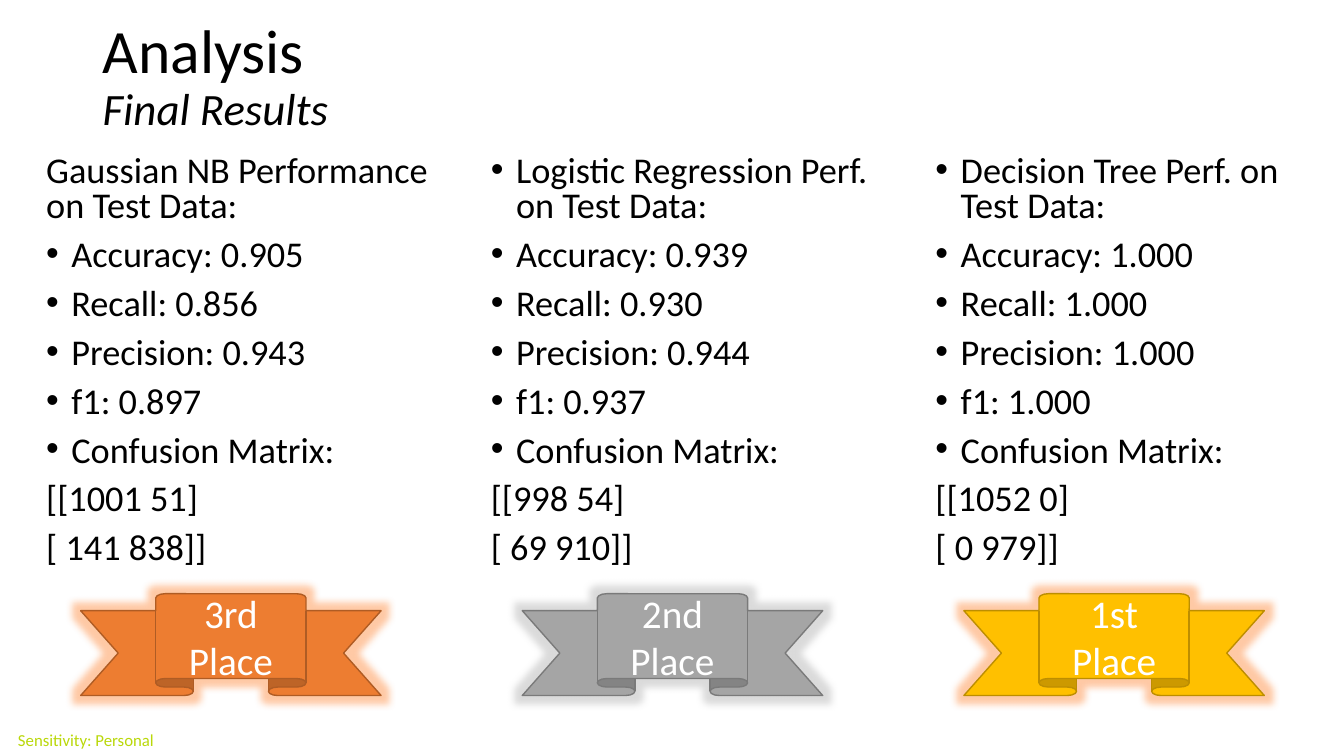
"""Build the Analysis slide comparing three classifiers on test data."""
from dataclasses import dataclass

from lxml.etree import SubElement
from pptx import Presentation
from pptx.dml.color import RGBColor
from pptx.enum.shapes import MSO_SHAPE
from pptx.enum.text import MSO_ANCHOR, PP_ALIGN
from pptx.oxml.ns import qn
from pptx.slide import Slide
from pptx.text.text import TextFrame, _Paragraph
from pptx.util import Inches, Length, Pt

FONT = "Calibri"
BLACK = RGBColor(0x00, 0x00, 0x00)
WHITE = RGBColor(0xFF, 0xFF, 0xFF)
LIME = RGBColor(0xBA, 0xD8, 0x0A)
ORANGE = RGBColor(0xED, 0x7D, 0x31)
ORANGE_EDGE = RGBColor(0xAF, 0x5C, 0x24)
ORANGE_GLOW = RGBColor(0xFF, 0x78, 0x1E)
GRAY = RGBColor(0xA5, 0xA5, 0xA5)
GRAY_EDGE = RGBColor(0x7A, 0x7A, 0x7A)
GOLD = RGBColor(0xFF, 0xC0, 0x00)
GOLD_EDGE = RGBColor(0xBD, 0x8E, 0x00)

METRICS = ("Accuracy", "Recall", "Precision", "f1")
RESULT_LEFT, RESULT_PITCH = Inches(0.36), Inches(4.41)
RIBBON_LEFT, RIBBON_PITCH = Inches(0.8), Inches(4.38)
BULLET_INDENT = Inches(0.25)
GLOW_RADIUS = Inches(0.15)


@dataclass(frozen=True)
class Model:
    """A classifier's scores, confusion matrix and ribbon."""
    heading: str
    heading_bulleted: bool
    scores: tuple[str, ...]
    matrix: tuple[str, str]
    place: str
    fill: RGBColor
    edge: RGBColor
    glow: RGBColor


MODELS = (
    Model("Gaussian NB Performance on Test Data:", False,
          ("0.905", "0.856", "0.943", "0.897"), ("[[1001 51]", "[ 141 838]]"),
          "3rd Place", ORANGE, ORANGE_EDGE, ORANGE_GLOW),
    Model("Logistic Regression Perf. on Test Data:", True,
          ("0.939", "0.930", "0.944", "0.937"), ("[[998 54]", "[ 69 910]]"),
          "2nd Place", GRAY, GRAY_EDGE, GRAY),
    Model("Decision Tree Perf. on Test Data:", True,
          ("1.000", "1.000", "1.000", "1.000"), ("[[1052 0]", "[ 0 979]]"),
          "1st Place", GOLD, GOLD_EDGE, ORANGE_GLOW),
)


def add_text(paragraph: _Paragraph, text: str, size: float,
             color: RGBColor = BLACK, italic: bool = False) -> None:
    """Append one styled run."""
    run = paragraph.add_run()
    run.text = text
    run.font.name = FONT
    run.font.size = Pt(size)
    run.font.italic = italic
    run.font.color.rgb = color


def add_frame(slide: Slide, left: Length, top: Length, width: Length,
              height: Length, anchor: MSO_ANCHOR = MSO_ANCHOR.MIDDLE) -> TextFrame:
    """Add a wrapping text box and return its frame."""
    frame = slide.shapes.add_textbox(left, top, width, height).text_frame
    frame.word_wrap = True
    frame.vertical_anchor = anchor
    return frame


def add_bullet(paragraph: _Paragraph) -> None:
    """Give the paragraph a hanging round bullet."""
    properties = paragraph._p.get_or_add_pPr()
    properties.set("marL", str(BULLET_INDENT))
    properties.set("indent", str(-BULLET_INDENT))
    SubElement(properties, qn("a:buFont")).set("typeface", "Arial")
    SubElement(properties, qn("a:buChar")).set("char", "•")


def add_results(slide: Slide, model: Model, column: int) -> None:
    """List the model's results in its column."""
    frame = add_frame(slide, RESULT_LEFT + column * RESULT_PITCH, Inches(1.5),
                      Inches(4.22), Inches(4.3), MSO_ANCHOR.TOP)
    lines = [(model.heading, model.heading_bulleted)]
    lines += [(f"{metric}: {score}", True)
              for metric, score in zip(METRICS, model.scores)]
    lines += [("Confusion Matrix:", True)]
    lines += [(row, False) for row in model.matrix]
    for number, (text, bulleted) in enumerate(lines):
        paragraph = frame.add_paragraph() if number else frame.paragraphs[0]
        paragraph.line_spacing = 0.8
        paragraph.space_before = Pt(10)
        if bulleted:
            add_bullet(paragraph)
        add_text(paragraph, text, 25.9)


def add_ribbon(slide: Slide, model: Model, column: int) -> None:
    """Draw the glowing ribbon with the model's place."""
    ribbon = slide.shapes.add_shape(
        MSO_SHAPE.UP_RIBBON, RIBBON_LEFT + column * RIBBON_PITCH, Inches(5.89),
        Inches(2.98), Inches(1.01))
    ribbon.fill.solid()
    ribbon.fill.fore_color.rgb = model.fill
    ribbon.line.color.rgb = model.edge
    ribbon.line.width = Pt(1)
    ribbon.shadow.inherit = False
    effects = ribbon._element.spPr.find(qn("a:effectLst"))
    glow = SubElement(effects, qn("a:glow"), rad=str(GLOW_RADIUS))
    color = SubElement(glow, qn("a:srgbClr"), val=str(model.glow))
    SubElement(color, qn("a:alpha"), val="40000")
    ribbon.text_frame.word_wrap = True
    ribbon.text_frame.vertical_anchor = MSO_ANCHOR.MIDDLE
    paragraph = ribbon.text_frame.paragraphs[0]
    paragraph.alignment = PP_ALIGN.CENTER
    add_text(paragraph, model.place, 28, WHITE)


def add_title(slide: Slide) -> None:
    """Add the title and its italic second line."""
    frame = add_frame(slide, Inches(0.92), Inches(0.05), Inches(11.5), Inches(1.45))
    paragraph = frame.paragraphs[0]
    paragraph.line_spacing = 0.9
    add_text(paragraph, "Analysis", 44)
    paragraph.add_line_break()
    add_text(paragraph, "Final Results", 32, italic=True)


def add_sensitivity(slide: Slide) -> None:
    """Add the sensitivity label at the bottom left."""
    frame = add_frame(slide, Inches(0.08), Inches(7.18), Inches(1.72), Inches(0.32))
    frame.margin_top = frame.margin_bottom = Inches(0)
    add_text(frame.paragraphs[0], "Sensitivity: Personal", 12, LIME)


def main() -> None:
    """Build and save the slide."""
    presentation = Presentation()
    presentation.slide_width = Inches(13.33)
    presentation.slide_height = Inches(7.5)
    slide = presentation.slides.add_slide(presentation.slide_layouts[6])
    add_sensitivity(slide)
    add_title(slide)
    for column, model in enumerate(MODELS):
        add_results(slide, model, column)
        add_ribbon(slide, model, column)
    presentation.save("out.pptx")


main()
